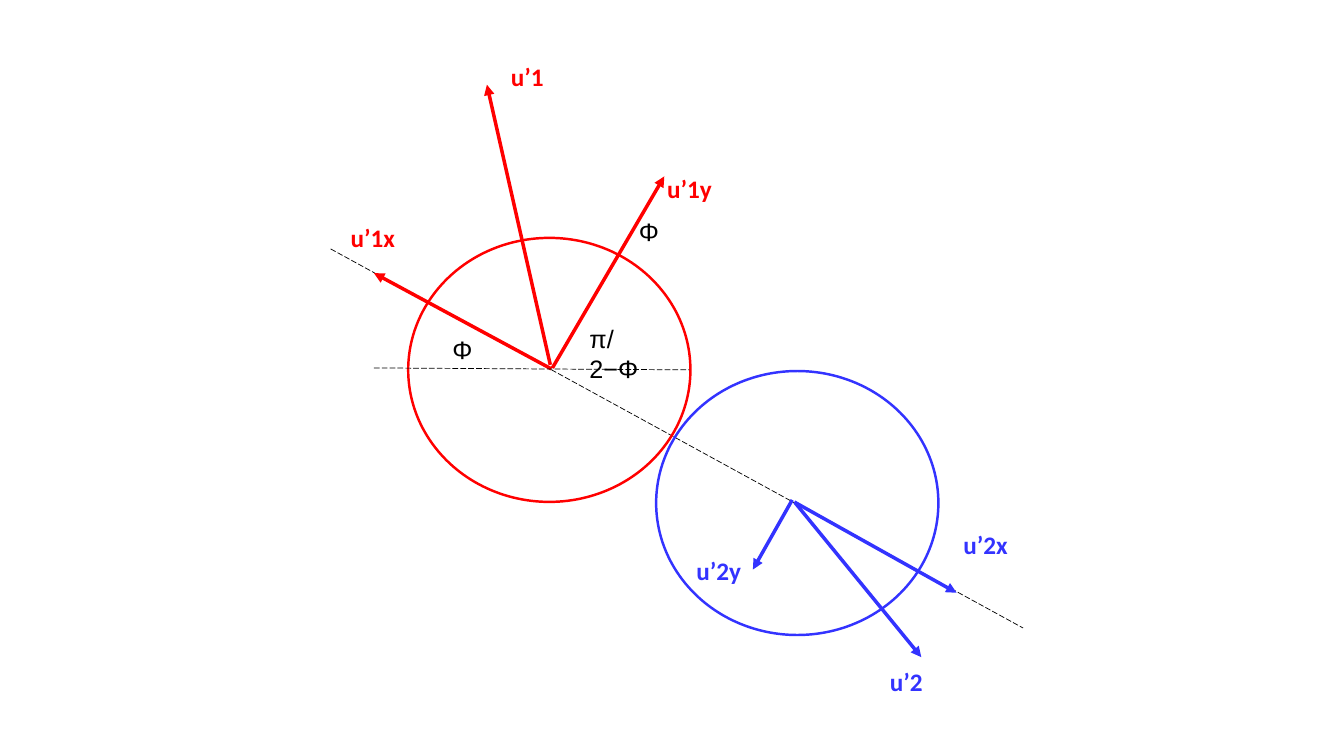
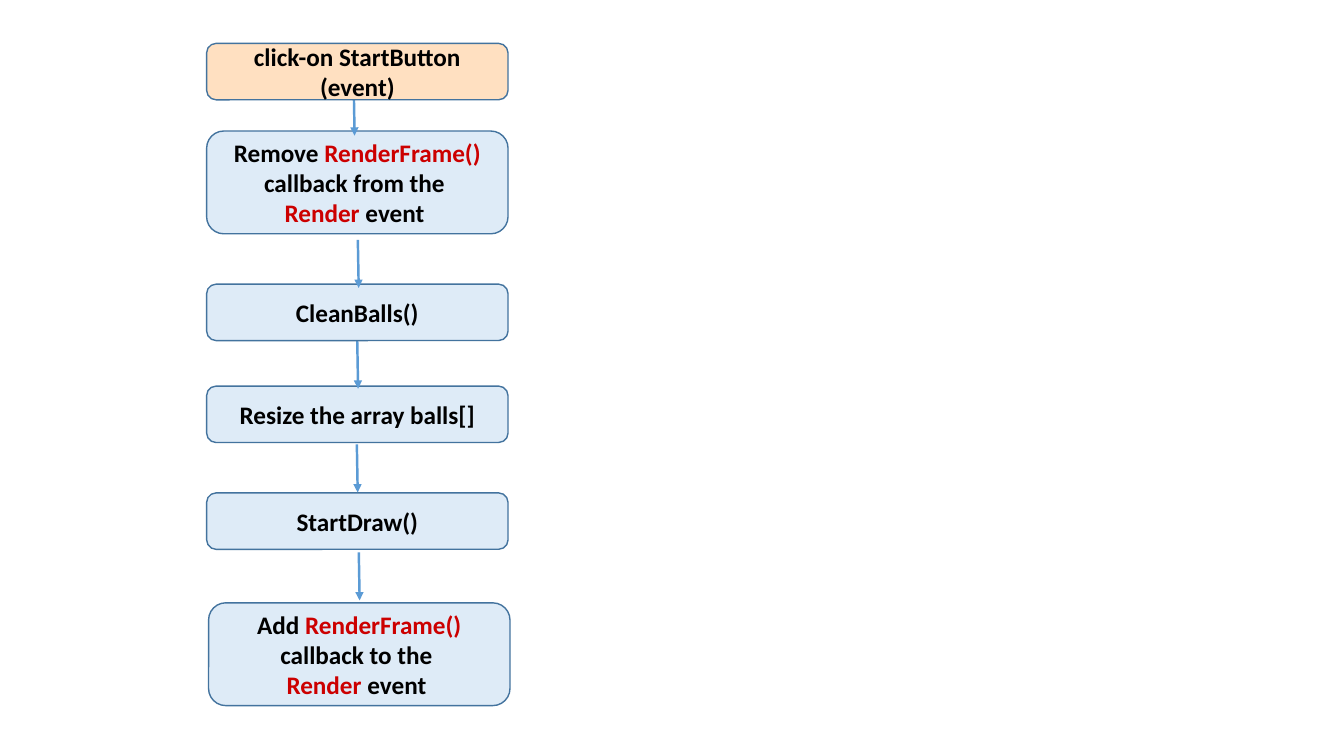
"""Builds two slides: a collision diagram and a start-button flowchart."""
from lxml.etree import SubElement
from pptx import Presentation
from pptx.dml.color import RGBColor
from pptx.enum.dml import MSO_LINE
from pptx.enum.shapes import MSO_CONNECTOR, MSO_SHAPE
from pptx.enum.text import MSO_ANCHOR, PP_ALIGN
from pptx.oxml.ns import qn
from pptx.util import Pt

BLACK, RED, BLUE, CODE = "000000", "FF0000", "3333FF", "CC0000"
PALE_BLUE, PEACH, EDGE, ARROW = "DEEBF7", "FFE0C1", "43739E", "5B9BD5"
TEXT_SIZE = 18

BALL_SIZE = (201.6, 188.6)
BALLS = [(468.7, 265, BLUE), (291.6, 169.9, RED)]
CENTRE_LINE = (236.2, 177.8, 730.8, 448.6)
HORIZONTAL = (267.1, 262.8, 492.5, 264.2)
VELOCITIES = [
    ("u’1", RED, (393.1, 260.6, 347.8, 60.5), (357.8, 40.3)),
    ("u’2", BLUE, (568.1, 359.3, 658.1, 469.4), (628.6, 472.3)),
    ("u’1y", RED, (394.6, 262.8, 474.5, 126), (469.4, 120.2)),
    ("u’1x", RED, (393.8, 263.5, 267.1, 195.1), (243.4, 155.5)),
    ("u’2x", BLUE, (567.4, 358.6, 683.3, 423.4), (681.1, 374.4)),
    ("u’2y", BLUE, (565.9, 357.1, 537.8, 406.8), (490.3, 393.1)),
]
ANGLES = [
    ("Φ", 316.1, 235.4, 28.1),
    ("π/2−Φ", 414, 227.5, 62.6),
    ("Φ", 449.3, 151.2, 28.1),
]

RENDER_EVENT = [("Render ", CODE), ("event ", BLACK)]


def callback_step(verb, link):
    return [[(verb, BLACK), ("RenderFrame() ", CODE), (link, BLACK)], RENDER_EVENT]


def plain_step(text):
    return [[(text, BLACK)]]


STEP_WIDTH, LOW, TALL = 215.3, 40.3, 73.4
STEPS = [
    (147.6, 31, LOW, PEACH, plain_step("click-on StartButton (event)")),
    (147.6, 93.6, TALL, PALE_BLUE, callback_step("Remove ", "callback from the ")),
    (147.6, 203, LOW, PALE_BLUE, plain_step("CleanBalls()")),
    (147.6, 275.8, LOW, PALE_BLUE, plain_step("Resize the array balls[]")),
    (147.6, 352.1, LOW, PALE_BLUE, plain_step("StartDraw()")),
    (149, 430.6, TALL, PALE_BLUE, callback_step("Add ", "callback to the ")),
]
FLOW_STARTS = [(252.7, 62.6), (255.6, 171.4), (255.2, 243.4), (254.9, 317.5), (256.3, 394.6)]
FLOW_RUN, FLOW_LEAN = 34.3, 0.6


def rgb(value):
    return RGBColor.from_string(value)


def write(tf, paragraphs, font="Calibri", bold=True, align=PP_ALIGN.LEFT):
    tf.word_wrap = True
    for i, runs in enumerate(paragraphs):
        p = tf.add_paragraph() if i else tf.paragraphs[0]
        p.alignment = align
        for text, color in runs:
            r = p.add_run()
            r.text = text
            r.font.name, r.font.size, r.font.bold = font, Pt(TEXT_SIZE), bold
            r.font.color.rgb = rgb(color)


def add_label(s, text, x, y, w, h, color, font="Calibri", bold=True):
    box = s.shapes.add_textbox(Pt(x), Pt(y), Pt(w), Pt(h))
    write(box.text_frame, [[(text, color)]], font, bold)


def add_outline(s, kind, x, y, w, h, line, weight, fill=None):
    sp = s.shapes.add_shape(kind, Pt(x), Pt(y), Pt(w), Pt(h))
    sp.shadow.inherit = False
    if fill:
        sp.fill.solid()
        sp.fill.fore_color.rgb = rgb(fill)
    else:
        sp.fill.background()
    sp.line.color.rgb = rgb(line)
    sp.line.width = Pt(weight)
    return sp


def add_line(s, ends, color, weight, arrow=True):
    line = s.shapes.add_connector(MSO_CONNECTOR.STRAIGHT, *map(Pt, ends))
    line.line.color.rgb = rgb(color)
    line.line.width = Pt(weight)
    if arrow:
        SubElement(line.line._get_or_add_ln(), qn("a:tailEnd"), type="triangle")
    else:
        line.line.dash_style = MSO_LINE.LONG_DASH
    SubElement(line._element.spPr, qn("a:effectLst"))


def draw_collision(s):
    add_line(s, CENTRE_LINE, BLACK, 0.5, arrow=False)
    for x, y, color in BALLS:
        add_outline(s, MSO_SHAPE.OVAL, x, y, *BALL_SIZE, color, 1.75)
    for name, color, ends, (x, y) in VELOCITIES:
        add_line(s, ends, color, 2.5)
        add_label(s, name, x, y, 72.7, 42.5, color)
    add_line(s, HORIZONTAL, BLACK, 0.5, arrow=False)
    for name, x, y, w in ANGLES:
        add_label(s, name, x, y, w, 28.8, BLACK, "Arial", False)


def draw_flow(s):
    for i, (x, y, h, fill, paragraphs) in reversed(list(enumerate(STEPS))):
        sp = add_outline(s, MSO_SHAPE.ROUNDED_RECTANGLE, x, y, STEP_WIDTH, h, EDGE, 1, fill)
        sp.text_frame.vertical_anchor = MSO_ANCHOR.MIDDLE
        write(sp.text_frame, paragraphs, align=PP_ALIGN.CENTER)
        if i:
            left, top = FLOW_STARTS[i - 1]
            add_line(s, (left, top, left + FLOW_LEAN, top + FLOW_RUN), ARROW, 1.75)


prs = Presentation()
prs.slide_width, prs.slide_height = Pt(960), Pt(540)
for draw in (draw_collision, draw_flow):
    draw(prs.slides.add_slide(prs.slide_layouts[6]))
prs.save("out.pptx")
